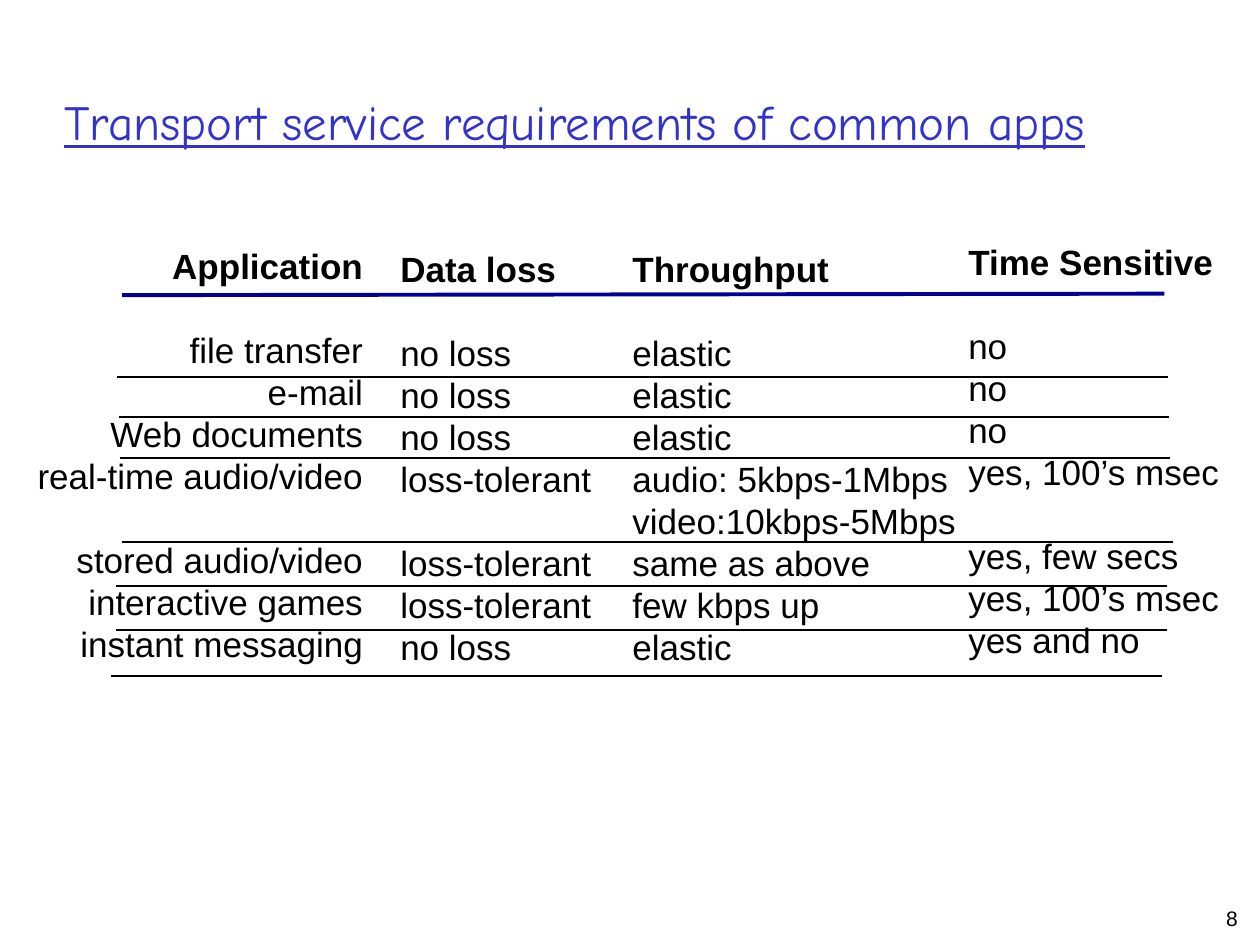
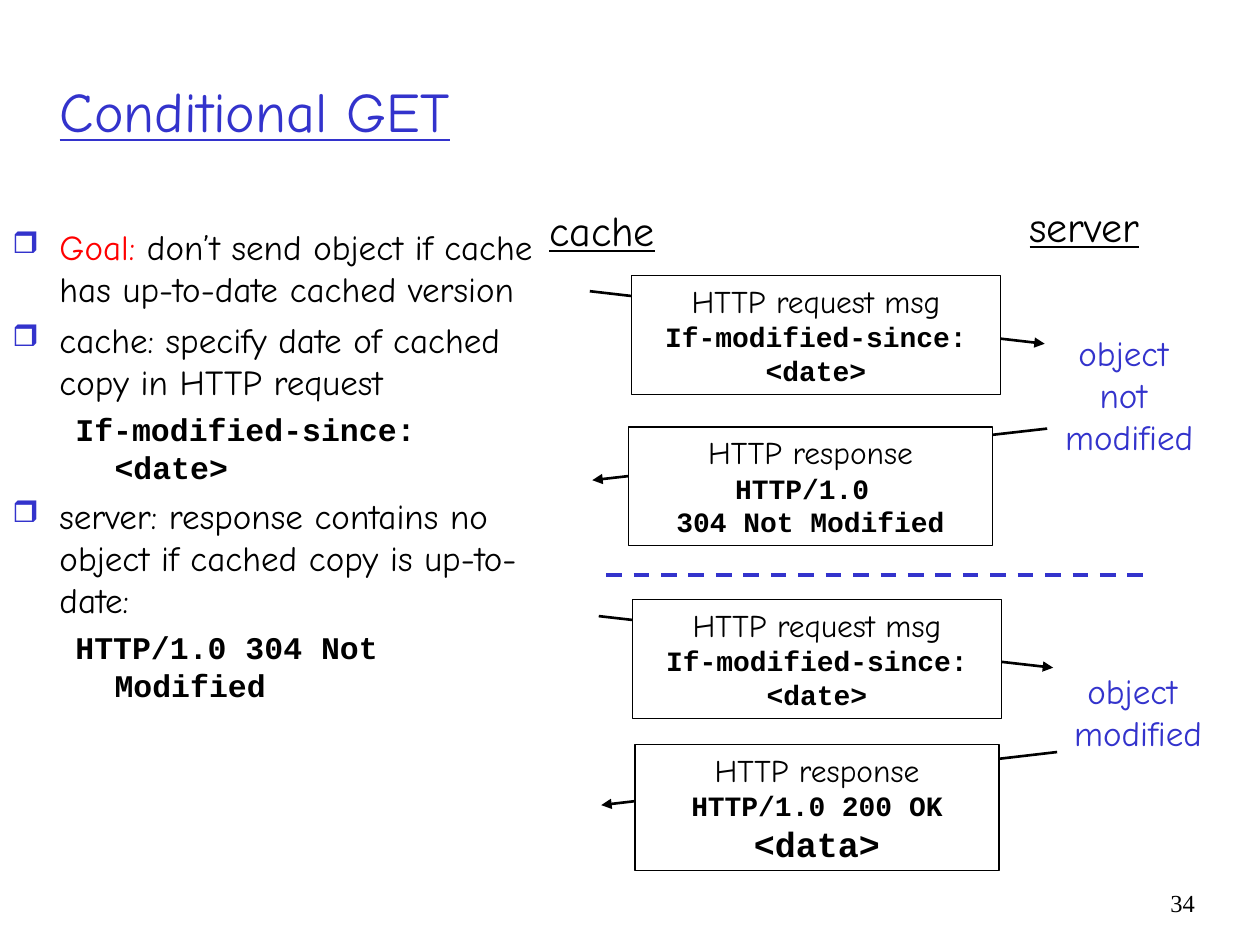
from lxml.etree import SubElement
from pptx import Presentation
from pptx.dml.color import RGBColor
from pptx.enum.dml import MSO_LINE
from pptx.enum.shapes import MSO_CONNECTOR, MSO_SHAPE
from pptx.enum.text import MSO_ANCHOR, PP_ALIGN as Align
from pptx.oxml.ns import qn
from pptx.util import Cm, Pt

BLUE = RGBColor(0x33, 0x33, 0xCC)
NAVY = RGBColor(0x00, 0x00, 0x99)
RED = RGBColor(0xFF, 0x00, 0x00)
BLACK = RGBColor(0x00, 0x00, 0x00)
WHITE = RGBColor(0xFF, 0xFF, 0xFF)
SANS, HAND, CODE, SERIF = "Arial", "Comic Neue", "Courier New", "Times New Roman"


def write(shape, rows, align=Align.LEFT, color=BLACK):
    """Fill a shape with rows of (text, size, font, bold)."""
    frame = shape.text_frame
    frame.word_wrap = True
    frame.vertical_anchor = MSO_ANCHOR.TOP
    for i, (text, size, name, bold) in enumerate(rows):
        para = frame.add_paragraph() if i else frame.paragraphs[0]
        para.text = text
        para.alignment = align
        para.line_spacing = Pt(1.2 * size)
        font = para.font
        font.size, font.name, font.bold = Pt(size), name, bold
        font.color.rgb = color
    return frame.paragraphs


def rule(slide, x1, y1, x2, y2, color, width):
    """Draw a straight line without a shadow."""
    line = slide.shapes.add_connector(
        MSO_CONNECTOR.STRAIGHT, Cm(x1), Cm(y1), Cm(x2), Cm(y2))
    line.line.color.rgb = color
    line.line.width = Pt(width)
    SubElement(line._element.spPr, qn("a:effectLst"))
    return line.line


deck = Presentation()
deck.slide_width, deck.slide_height = Cm(25.4), Cm(19.05)

# Titles and page numbers
heads = [
    ("Transport service requirements of common apps", 28, (1.04, 0.84, 22.78, 3.18),
     "8", 12, SANS, (21.16, 18.14, 4.04, 0.79)),
    ("Conditional GET", 32, (0.95, 0.64, 22.12, 3.18),
     "34", 14, SERIF, (23.07, 17.78, 1.27, 1.27)),
]
slides = []
for text, size, area, num, small, face, spot in heads:
    slide = deck.slides.add_slide(deck.slide_layouts[5])
    title = slide.shapes.title
    title.left, title.top, title.width, title.height = map(Cm, area)
    para = write(title, [(text, size, HAND, False)], color=BLUE)[0]
    para.font.underline = True
    title.text_frame.vertical_anchor = MSO_ANCHOR.MIDDLE
    page = slide.shapes.add_textbox(*map(Cm, spot))
    write(page, [(num, small, face, False)], Align.RIGHT)
    slides.append(slide)
needs, fetch = slides

# Requirement columns; None leaves one line free
cols = [
    (0.07, 4.8, 7.5, Align.RIGHT,
     ["Application", None, "file transfer", "e-mail", "Web documents",
      "real-time audio/video", None, "stored audio/video",
      "interactive games", "instant messaging"]),
    (7.82, 4.87, 4.7, Align.LEFT,
     ["Data loss", None, "no loss", "no loss", "no loss", "loss-tolerant",
      None, "loss-tolerant", "loss-tolerant", "no loss"]),
    (12.5, 4.86, 7.16, Align.LEFT,
     ["Throughput", None, "elastic", "elastic", "elastic",
      "audio: 5kbps-1Mbps", "video:10kbps-5Mbps", "same as above",
      "few kbps up", "elastic"]),
    (19.27, 4.72, 5.74, Align.LEFT,
     ["Time Sensitive", None, "no", "no", "no", "yes, 100’s msec", None,
      "yes, few secs", "yes, 100’s msec", "yes and no"]),
]
for x, y, w, align, cells in cols:
    box = needs.shapes.add_textbox(Cm(x), Cm(y), Cm(w), Cm(8.74))
    rows = [(cell, 20, SANS, cell == cells[0]) for cell in cells if cell]
    paras = write(box, rows, align)
    after = [cells[i - 1] is None for i, cell in enumerate(cells) if cell]
    for para, gap in zip(paras, after):
        para.space_before = Pt(24 if gap else 0)

# Lines under the rows
rule(needs, 2.46, 5.95, 23.47, 5.92, NAVY, 2.25)
for x, y in [(2.36, 7.6), (2.39, 8.41), (2.41, 9.24), (2.46, 10.92),
             (2.34, 11.81), (2.34, 12.7), (2.24, 13.62)]:
    rule(needs, x, y, x + 21.18, y, BLACK, 1)

# Goal list
goals = [
    ("Goal:", 20, HAND, False),
    ("cache: specify date of cached copy in HTTP request", 20, HAND, False),
    ("If-modified-since: <date>", 18, CODE, True),
    ("server: response contains no object if cached copy is up-to-date:",
     20, HAND, False),
    ("HTTP/1.0 304 Not Modified", 18, CODE, True),
]
body = fetch.shapes.add_textbox(Cm(0), Cm(4.42), Cm(11.23), Cm(11.96))
paras = write(body, goals)
paras[0].runs[0].font.color.rgb = RED
paras[0].add_run().text = " don’t send object if cache has up-to-date cached version"
for para, (text, size, name, code) in zip(paras, goals):
    para.space_before = Pt(size / 4)
    props = para._p.get_or_add_pPr()
    props.set("marL", str(Cm(2.06 if code else 0.95)))
    props.set("indent", str(Cm(-0.79 if code else -0.95)))
    if not code:
        tint = SubElement(props, qn("a:buClr"))
        SubElement(tint, qn("a:srgbClr"), val=str(BLUE))
        scale = SubElement(props, qn("a:buSzPct"), val="85000")
        mark = SubElement(props, qn("a:buChar"), char="❒")
        for part in (tint, scale, mark):
            props.find(qn("a:defRPr")).addprevious(part)

# Host names
for text, x, y, w in [("cache", 10.82, 3.99, 2.64), ("server", 20.5, 3.91, 2.72)]:
    host = fetch.shapes.add_textbox(Cm(x), Cm(y), Cm(w), Cm(1.27))
    para = write(host, [(text, 24, HAND, False)], Align.CENTER)[0]
    para.font.underline = True

# Messages: an arrow with a box over it
ask = [("HTTP request msg", 18, HAND, False),
       ("If-modified-since: <date>", 16, CODE, True)]
reply = ("HTTP response", 18, HAND, False)
same = [reply, ("HTTP/1.0 ", 16, CODE, True), ("304 Not Modified", 16, CODE, True)]
fresh = [reply, ("HTTP/1.0 200 OK", 16, CODE, True), ("<data>", 20, CODE, True)]
sends = [
    ((11.89, 5.87, 21.06, 6.93), (12.73, 5.56, 7.44, 2.39), ask),
    ((21.11, 8.64, 11.94, 9.68), (12.67, 8.61, 7.34, 2.39), same),
    ((12.07, 12.42, 21.23, 13.46), (12.75, 12.09, 7.44, 2.39), ask),
    ((21.31, 15.16, 12.12, 16.23), (12.8, 15.01, 7.34, 2.54), fresh),
]
for ends, area, rows in sends:
    line = rule(fetch, *ends, BLACK, 1.5)
    SubElement(line._get_or_add_ln(), qn("a:tailEnd"), type="triangle")
    box = fetch.shapes.add_shape(MSO_SHAPE.RECTANGLE, *map(Cm, area))
    box.shadow.inherit = False
    box.fill.solid()
    box.fill.fore_color.rgb = WHITE
    box.line.color.rgb = BLACK
    box.line.width = Pt(0.75)
    write(box, rows, Align.CENTER)

# Divider between the two cases
rule(fetch, 12.22, 11.59, 23.06, 11.59, BLUE, 2.25).dash_style = MSO_LINE.DASH

# Outcome of each case
for x, y, h, words in [(20.98, 6.55, 2.79, ["object ", "not ", "modified"]),
                       (21.16, 13.37, 1.96, ["object ", "modified"])]:
    note = fetch.shapes.add_textbox(Cm(x), Cm(y), Cm(3.57), Cm(h))
    write(note, [(word, 20, HAND, False) for word in words], Align.CENTER, BLUE)

deck.save("out.pptx")
